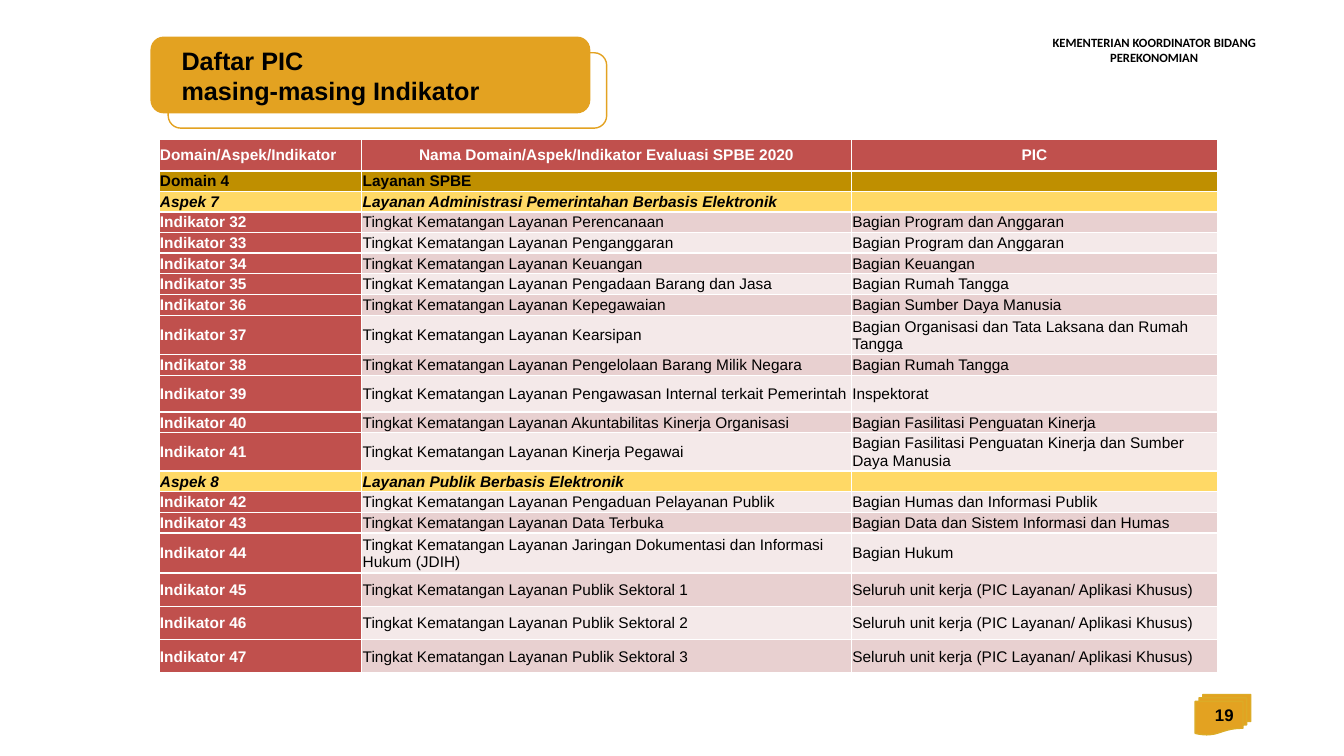
from lxml.etree import SubElement
from pptx import Presentation
from pptx.dml.color import RGBColor
from pptx.enum.shapes import MSO_SHAPE
from pptx.enum.text import MSO_ANCHOR, PP_ALIGN
from pptx.oxml.ns import qn
from pptx.util import Cm, Pt

GOLD, RED, WHITE, BLACK = "E3A221", "C0504D", "FFFFFF", "000000"
DOMAIN_FILL, ASPECT_FILL = "BF8F00", "FFD966"
BANDS = ("F4E9E9", "E8D0D0")

COLUMN_WIDTHS = (5.11, 12.34, 9.22)
ROW_HEIGHT = 0.52
TALL_ROWS = {"Domain/Aspek/Indikator": 0.79, "Indikator 37": 1.0,
             "Indikator 39": 0.92, "Indikator 41": 0.97,
             "Indikator 44": 1.01, "Indikator 45": 0.84,
             "Indikator 46": 0.84, "Indikator 47": 0.84}
MATURITY = "Tingkat Kematangan Layanan "
ALL_UNITS = "Seluruh unit kerja (PIC Layanan/ Aplikasi Khusus)"

SERVICES_ADMIN = [
    ("Perencanaan", "Bagian Program dan Anggaran"),
    ("Penganggaran", "Bagian Program dan Anggaran"),
    ("Keuangan", "Bagian Keuangan"),
    ("Pengadaan Barang dan Jasa", "Bagian Rumah Tangga"),
    ("Kepegawaian", "Bagian Sumber Daya Manusia"),
    ("Kearsipan", "Bagian Organisasi dan Tata Laksana dan Rumah Tangga"),
    ("Pengelolaan Barang Milik Negara", "Bagian Rumah Tangga"),
    ("Pengawasan Internal terkait Pemerintah", "Inspektorat"),
    ("Akuntabilitas Kinerja Organisasi", "Bagian Fasilitasi Penguatan Kinerja"),
    ("Kinerja Pegawai",
     "Bagian Fasilitasi Penguatan Kinerja dan Sumber Daya Manusia"),
]
SERVICES_PUBLIC = [
    ("Pengaduan Pelayanan Publik", "Bagian Humas dan Informasi Publik"),
    ("Data Terbuka", "Bagian Data dan Sistem Informasi dan Humas"),
    ("Jaringan Dokumentasi dan Informasi Hukum (JDIH)", "Bagian Hukum"),
    *[(f"Publik Sektoral {sector}", ALL_UNITS) for sector in (1, 2, 3)],
]


def color(code):
    return RGBColor.from_string(code)


def indicators(first, services):
    return [(f"Indikator {number}", MATURITY + service, pic)
            for number, (service, pic) in enumerate(services, first)]


class SlideBuilder:
    font_name = "Arial"

    def __init__(self, presentation):
        self.slide = presentation.slides.add_slide(presentation.slide_layouts[5])
        self.shapes = self.slide.shapes

    def format_font(self, font, code, **values):
        for name, value in {"name": self.font_name, "bold": True, **values}.items():
            setattr(font, name, value)
        font.color.rgb = color(code)

    def set_lines(self, frame, lines, size, align=PP_ALIGN.LEFT, code=BLACK, **values):
        frame.text = "\n".join(lines)
        for paragraph in frame.paragraphs:
            paragraph.alignment = align
            for run in paragraph.runs:
                self.format_font(run.font, code, size=Pt(size), **values)

    def shape(self, preset, box, line, fill=None):
        item = self.shapes.add_shape(preset, *map(Cm, box))
        item.shadow.inherit = False
        if fill:
            item.fill.solid()
            item.fill.fore_color.rgb = color(fill)
        else:
            item.fill.background()
        item.line.color.rgb = color(line)
        item.line.width = Pt(1)

    def text(self, box, line, size, anchor=MSO_ANCHOR.TOP, **values):
        frame = self.shapes.add_textbox(*map(Cm, box)).text_frame
        frame.word_wrap = True
        frame.vertical_anchor = anchor
        self.set_lines(frame, [line], size, **values)

    def title(self, box, lines):
        heading = self.shapes.title
        for name, value in zip(("left", "top", "width", "height"), box):
            setattr(heading, name, Cm(value))
        heading.text_frame.word_wrap = False
        heading.text_frame.vertical_anchor = MSO_ANCHOR.TOP
        self.set_lines(heading.text_frame, lines, 18)
        # Bring the heading in front of its gold card
        heading.element.getparent().append(heading.element)

    def cell(self, cell, words, fill, thick=(), **values):
        margins = {"margin_left": Cm(0.02), "margin_right": Cm(0.02),
                   "margin_top": Cm(0.02), "margin_bottom": 0,
                   "vertical_anchor": MSO_ANCHOR.MIDDLE}
        for name, value in margins.items():
            setattr(cell, name, value)
        properties = cell._tc.get_or_add_tcPr()
        for side in "LRTB":
            width = Pt(1.5 if side in thick else 1)
            border = SubElement(properties, qn(f"a:ln{side}"), w=str(width))
            paint = SubElement(border, qn("a:solidFill"))
            SubElement(paint, qn("a:srgbClr"), val=WHITE)
        cell.fill.solid()
        cell.fill.fore_color.rgb = color(fill)
        if words:
            self.set_lines(cell.text_frame, [words], 11, **values)
        else:
            # Keep blank cells as low as the filled ones
            SubElement(cell.text_frame.paragraphs[0]._p, qn("a:endParaRPr"), sz="1100")

    def table(self, left, top, rows):
        heights = [TALL_ROWS.get(row[0], ROW_HEIGHT) for row in rows]
        table = self.shapes.add_table(
            len(rows), len(COLUMN_WIDTHS), Cm(left), Cm(top),
            Cm(sum(COLUMN_WIDTHS)), Cm(sum(heights))).table
        table.first_row = table.horz_banding = False
        for column, width in zip(table.columns, COLUMN_WIDTHS):
            column.width = Cm(width)
        for index, (row, height) in enumerate(zip(rows, heights)):
            table.rows[index].height = Cm(height)
            for place, words in enumerate(row):
                look = cell_look(index, place, row[0])
                self.cell(table.cell(index, place), words, **look)


def cell_look(index, place, label):
    if index == 0:
        return {"fill": RED, "code": WHITE, "thick": "B",
                "align": PP_ALIGN.CENTER if place else PP_ALIGN.LEFT}
    if label.startswith("Domain"):
        return {"fill": DOMAIN_FILL, "thick": "T"}
    if label.startswith("Aspek"):
        return {"fill": ASPECT_FILL, "italic": True}
    thick = {"Indikator 33": "B", "Indikator 34": "T"}.get(label, "")
    if place == 0:
        return {"fill": RED, "code": WHITE, "thick": thick}
    return {"fill": BANDS[index % 2], "bold": False, "thick": thick}


def main():
    presentation = Presentation()
    presentation.slide_width, presentation.slide_height = Cm(33.87), Cm(19.05)
    builder = SlideBuilder(presentation)

    # Ministry name and decorations
    builder.text((25.48, 0.76, 7.21, 1.3),
                 "KEMENTERIAN KOORDINATOR BIDANG PEREKONOMIAN", 9,
                 align=PP_ALIGN.CENTER, name="Calibri")
    builder.shape(MSO_SHAPE.ROUNDED_RECTANGLE, (3.81, 0.94, 11.05, 1.9), GOLD, GOLD)
    builder.shape(MSO_SHAPE.ROUNDED_RECTANGLE, (4.24, 1.33, 11.05, 1.9), GOLD)
    builder.shape(MSO_SHAPE.FLOWCHART_MULTIDOCUMENT, (30.12, 17.5, 1.4, 1.02),
                  "DCAB27", GOLD)

    # Indicator table
    builder.table(4.01, 3.51, [
        ("Domain/Aspek/Indikator",
         "Nama Domain/Aspek/Indikator Evaluasi SPBE 2020", "PIC"),
        ("Domain 4", "Layanan SPBE", ""),
        ("Aspek 7", "Layanan Administrasi Pemerintahan Berbasis Elektronik", ""),
        *indicators(32, SERVICES_ADMIN),
        ("Aspek 8", "Layanan Publik Berbasis Elektronik", ""),
        *indicators(42, SERVICES_PUBLIC),
    ])

    # Heading and page number
    builder.title((4.32, 1.02, 8.1, 2.57), ["Daftar PIC", "masing-masing Indikator"])
    builder.text((23.72, 17.5, 7.62, 1.02), "19", 12,
                 anchor=MSO_ANCHOR.MIDDLE, align=PP_ALIGN.RIGHT)
    presentation.save("out.pptx")


if __name__ == "__main__":
    main()
